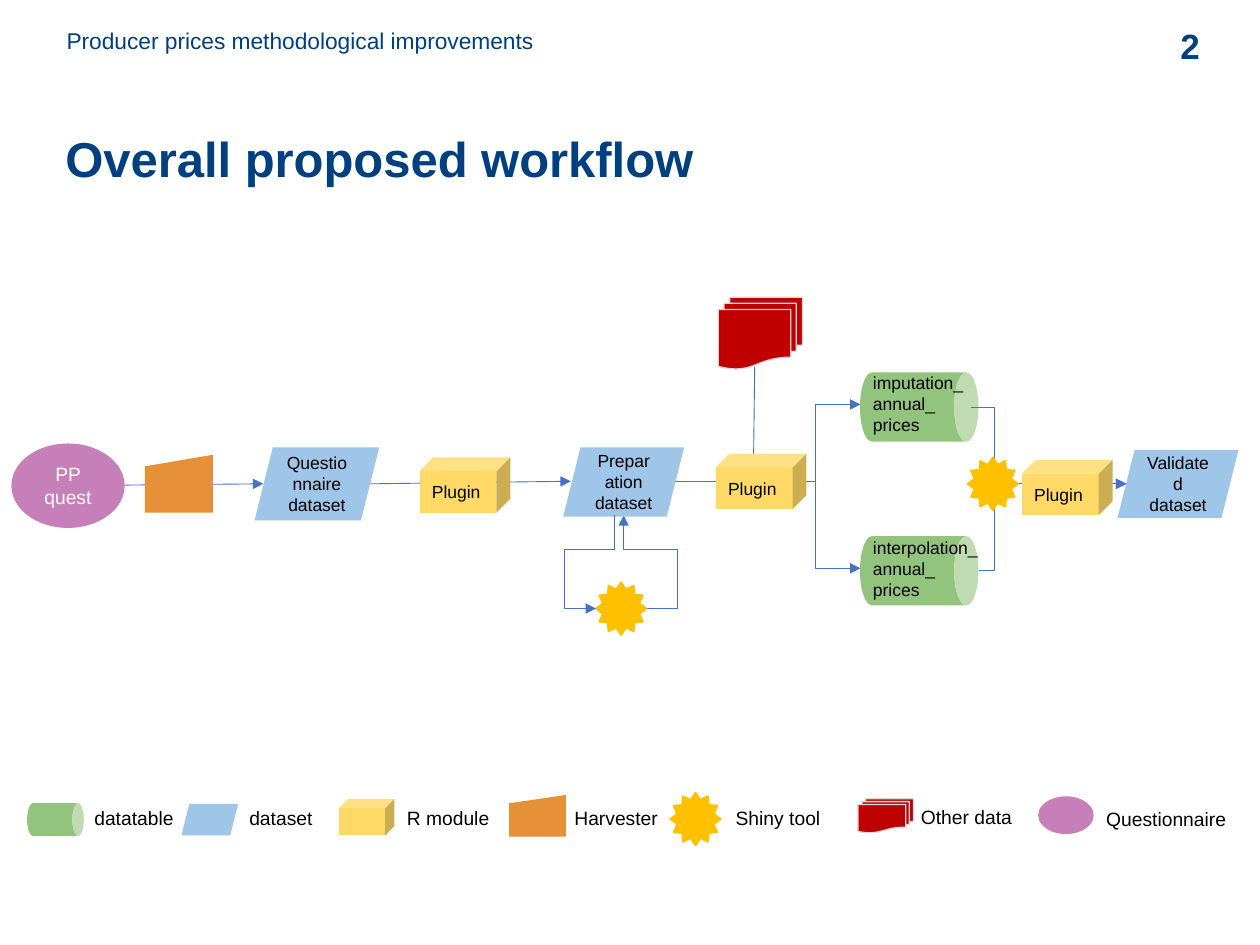
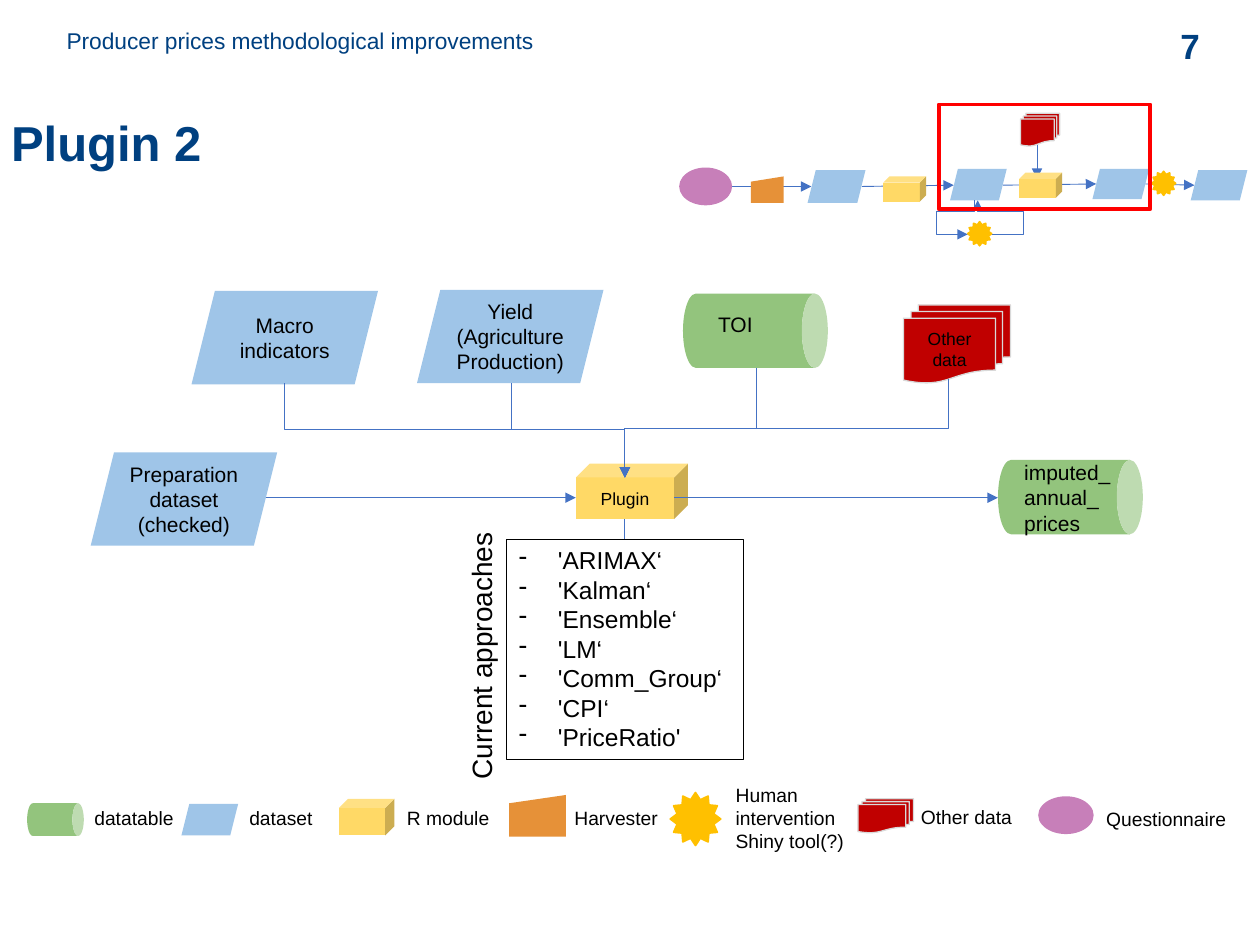
from lxml import etree
from pptx import Presentation
from pptx import util as u
from pptx.dml.color import RGBColor
from pptx.enum import shapes as s, text as t
from pptx.oxml.ns import qn

HUE = {"navy": "004080", "black": "000000", "white": "FFFFFF", "link": "4472C4",
       "green": "93C47D", "blue": "9FC5E8", "yellow": "FFD966", "orange": "E69138",
       "gold": "FFC000", "red": "C00000", "gray": "D9D9D9", "pink": "C77FB9",
       "alert": "FF0000"}
RGB = {name: RGBColor.from_string(code) for name, code in HUE.items()}
M = s.MSO_SHAPE
KIND = {
    "table": (M.CAN, "green", None, 0),
    "set": (M.PARALLELOGRAM, "blue", None, 0),
    "module": (M.CUBE, "yellow", None, 0),
    "harvest": (M.FLOWCHART_MANUAL_INPUT, "orange", None, 0),
    "tool": (M.STAR_12_POINT, "gold", "gold", 1),
    "other": (M.FLOWCHART_MULTIDOCUMENT, "red", "gray", 0.75),
    "quest": (M.OVAL, "pink", None, 0),
    "frame": (M.RECTANGLE, None, "alert", 2.25),
    "list": (M.RECTANGLE, None, "black", 0.75),
}
COLS, ROWS = 100, 75
CELL = u.Inches(0.1)


def put(page, kind, box, words="", size=10, hue="black", bold=False, align="LEFT",
        anchor="MIDDLE", pad=0.1, wrap=True, turn=0, dash=False, lead=None, gap=None):
    area = [round(n * CELL) for n in box]
    if kind == "text":
        item = page.shapes.add_textbox(*area)
    else:
        form, fill, edge, width = KIND[kind]
        item = page.shapes.add_shape(form, *area)
        item.shadow.inherit = False
        if fill:
            item.fill.solid()
            item.fill.fore_color.rgb = RGB[fill]
        else:
            item.fill.background()
        if edge:
            item.line.color.rgb = RGB[edge]
            item.line.width = u.Pt(width)
        else:
            item.line.fill.background()
        if kind == "table":
            item.adjustments[0] = 0.35
            turn = 90
    item.rotation = turn
    if not words:
        return item
    frame = item.text_frame
    frame.word_wrap = wrap
    frame.vertical_anchor = t.MSO_ANCHOR[anchor]
    frame.margin_left = frame.margin_right = u.Inches(0.1)
    frame.margin_top = frame.margin_bottom = u.Inches(pad)
    for row, line in enumerate(words.split("\n")):
        para = frame.paragraphs[0] if row == 0 else frame.add_paragraph()
        para.alignment = t.PP_ALIGN[align]
        if lead:
            para.line_spacing = lead
            para.space_before = u.Pt(gap)
        if dash:
            prop = para._p.get_or_add_pPr()
            prop.set("marL", str(u.Inches(0.31)))
            prop.set("indent", str(-u.Inches(0.31)))
            etree.SubElement(prop, qn("a:buChar")).set("char", "-")
        run = para.add_run()
        run.text = line
        run.font.name = "Arial"
        run.font.size = u.Pt(size)
        run.font.bold = bold
        run.font.color.rgb = RGB[hue]
    return item


def link(page, spots, head=True):
    (x, y), (far, low) = spots[0], spots[-1]
    wide, tall = far - x, low - y
    bent = len(spots) > 2
    down = bent and spots[1][0] == x
    ends = [x, y, far, low]
    if down:
        midx, midy = (x + far) / 2, (y + low) / 2
        ends = [midx - tall / 2, midy + wide / 2, midx + tall / 2, midy - wide / 2]
    form = s.MSO_CONNECTOR.ELBOW if bent else s.MSO_CONNECTOR.STRAIGHT
    line = page.shapes.add_connector(form, *[round(n * CELL) for n in ends])
    line.line.color.rgb = RGB["link"]
    line.line.width = u.Pt(0.5)
    prop = line.element.spPr
    if bent:
        geom = prop.find(qn("a:prstGeom"))
        geom.set("prst", f"bentConnector{len(spots) - 1}")
        guide = geom.find(qn("a:avLst"))
        if guide is None:
            guide = etree.SubElement(geom, qn("a:avLst"))
        for num, (px, py) in enumerate(spots[1:-2], 1):
            upright = down == (num == 1)
            share = (py - y) / tall if upright else (px - x) / wide
            mark = etree.SubElement(guide, qn("a:gd"))
            mark.set("name", f"adj{num}")
            mark.set("fmla", f"val {round(share * 100000)}")
        if down:
            prop.find(qn("a:xfrm")).set("rot", "5400000")
    if head:
        etree.SubElement(prop.find(qn("a:ln")), qn("a:tailEnd")).set("type", "triangle")
    etree.SubElement(prop, qn("a:effectLst"))
    return line


MID = {"align": "CENTER"}
BIG = {"align": "CENTER", "size": 12}
NOTE = {"anchor": "TOP", "pad": 0.05}
FREE = {**NOTE, "size": 12, "wrap": False}

FLOW = [
    ([[(53.6, 38.2), (64.7, 38.2), (64.7, 45.1), (68.3, 45.1)],
      [(53.6, 38.2), (64.7, 38.2), (64.7, 32.1), (68.3, 32.1)],
      [(29.4, 38.4), (45.3, 38.2)],
      [(9.9, 38.5), (20.9, 38.4)],
      [(59.9, 29.1), (59.8, 37.1)],
      [(51.3, 48.3), (53.8, 48.3), (53.8, 43.6), (49.5, 43.6), (49.5, 40.9)]],
     [("quest", (0.9, 35.2, 9, 6.7), "PP quest",
       {"align": "CENTER", "size": 11, "hue": "white", "pad": 0.05}),
      ("harvest", (11.5, 36.1, 5.4, 4.6), "", {}),
      ("set", (20.2, 35.5, 9.9, 5.8), "Questionnaire dataset", MID),
      ("other", (57, 23.6, 6.7, 5.7), "", {}),
      ("module", (33.3, 36.3, 7.2, 4.4), "Plugin", {}),
      ("set", (88.7, 35.7, 9.6, 5.4), "Validated dataset", MID),
      ("tool", (47.3, 46.2, 4, 4.2), "", {}),
      ("set", (44.7, 35.5, 9.6, 5.5), "Preparation dataset", MID),
      ("module", (56.8, 36, 7.2, 4.4), "Plugin", {}),
      ("table", (70.2, 27.6, 5.5, 9.4), "", {}),
      ("text", (68.3, 29, 11.2, 6.1), "imputation_\nannual_\nprices", NOTE),
      ("table", (70.2, 40.6, 5.5, 9.4), "", {}),
      ("text", (68.3, 42.1, 11.2, 6.1), "interpolation_\nannual_\nprices", NOTE)]),
    ([[(48.8, 40.9), (48.8, 43.6), (44.8, 43.6), (44.8, 48.3), (47.3, 48.3)],
      [(77.1, 32.3), (78.9, 32.3), (78.9, 38.4), (89.4, 38.4)],
      [(77.7, 45.3), (78.9, 45.3), (78.9, 38.4), (89.4, 38.4)]],
     [("tool", (76.8, 36.3, 4, 4.2), "", {}),
      ("module", (81.1, 36.5, 7.2, 4.4), "Plugin", {})]),
]

PLUGIN = [
    ([],
     [("other", (71.7, 24.2, 8.5, 6.2), "Other data", MID),
      ("module", (45.7, 36.8, 8.9, 4.4), "Plugin", MID),
      ("set", (7.2, 35.9, 14.8, 7.4), "Preparation dataset (checked)", BIG),
      ("set", (15.2, 23.1, 14.8, 7.4), "Macro indicators", BIG),
      ("set", (33.1, 23, 14.8, 7.4), "Yield (Agriculture Production)", BIG)]),
    ([[(x, top), (x, bar), (49.6, bar), (49.6, 37.9)] for x, top, bar in
      [(22.6, 30.4, 34.1), (40.6, 30.4, 34.1), (60, 29.2, 34), (75.3, 30.1, 34)]]
     + [[(21.1, 39.5), (45.7, 39.5)],
        [(53.5, 39.5), (79.2, 39.5)],
        [(79.6, 14.7), (87, 14.6)],
        [(68.4, 14.8), (75.7, 14.7)],
        [(58.1, 14.8), (64.4, 14.8)],
        [(90.9, 14.6), (94.8, 14.7)],
        [(82.3, 11.5), (82.3, 14.2)],
        [(78.7, 18.6), (81.2, 18.6), (81.2, 16.8), (77.6, 16.8), (77.6, 15.9)]],
     [("quest", (53.9, 13.3, 4.2, 3), "", {}),
      ("harvest", (59.6, 14, 2.6, 2.1), "", {}),
      ("set", (64.1, 13.5, 4.6, 2.6), "", {}),
      ("other", (81, 9, 3.1, 2.6), "", {}),
      ("set", (86.7, 13.4, 4.5, 2.4), "", {}),
      ("module", (70.1, 14, 3.4, 2), "", {}),
      ("set", (94.5, 13.5, 4.5, 2.4), "", {}),
      ("tool", (76.8, 17.6, 1.9, 1.9), "", {}),
      ("tool", (91.4, 13.6, 1.9, 1.9), "", {}),
      ("set", (75.4, 13.4, 4.5, 2.5), "", {}),
      ("module", (80.9, 13.7, 3.4, 2), "", {})]),
    ([[(77.3, 15.9), (77.3, 16.8), (74.3, 16.8), (74.3, 18.6), (76.8, 18.6)]],
     [("frame", (74.5, 8.3, 16.8, 8.3), "", {}),
      ("table", (57, 20.5, 5.9, 11.5), "", {}),
      ("text", (56, 24.2, 4.8, 3), "TOI", FREE),
      ("table", (82, 33.7, 5.9, 11.5), "", {}),
      ("text", (80.3, 36, 8.9, 7.1), "imputed_\nannual_\nprices", FREE),
      ("text", (27.2, 50, 22, 3.7), "Current approaches",
       {**NOTE, "size": 16, "turn": 270})]),
]

LEGEND = [
    ("table", (3.1, 62.8, 2.6, 4.5), "datatable", (6.5, 63.6, 8.8, 2.7)),
    ("set", (14.4, 63.8, 4.5, 2.5), "dataset", (18.8, 63.6, 8.5, 2.7)),
    ("module", (26.9, 63.4, 4.4, 2.9), "R module", (31.3, 63.6, 8.8, 2.7)),
    ("harvest", (40.4, 63.1, 4.5, 3.3), "Harvester", (44.6, 63.6, 10.1, 2.7)),
    ("tool", (53.2, 62.9, 4, 4.2), None, (57.4, 63.5, 10.9, 2.8)),
    ("other", (68.1, 63.4, 4.4, 2.7), "Other data", (72.1, 63.5, 10.1, 2.7)),
    ("quest", (82.4, 63.2, 4.4, 3), "Questionnaire", (86.8, 62.9, 13.2, 4.1)),
]

deck = Presentation()
deck.slide_width, deck.slide_height = COLS * CELL, ROWS * CELL
pages = []
for num, title, spot, human, layers in [
    ("2", "Overall proposed workflow", (4.2, 10.2), "Shiny tool", FLOW),
    ("7", "Plugin 2", (-0.1, 9), "Human intervention Shiny tool(?)", PLUGIN),
]:
    page = deck.slides.add_slide(deck.slide_layouts[6])
    pages.append(page)
    put(page, "text", (4.3, 1.6, 84.6, 3.2), "Producer prices methodological improvements",
        size=13, hue="navy", **NOTE)
    put(page, "text", (73.7, 1.6, 22.5, 4), num, size=20, hue="navy", bold=True,
        align="RIGHT", pad=0.05)
    put(page, "text", (*spot, 91.6, 5), title, size=28, hue="navy", bold=True,
        lead=0.9, gap=10, **NOTE)
    for links, nodes in layers:
        for spots in links:
            link(page, spots)
        for kind, box, words, style in nodes:
            put(page, kind, box, words, **style)
    for kind, box, words, label in LEGEND:
        put(page, kind, box)
        put(page, "text", label, words or human, size=11)

ways = "'ARIMAX‘\n'Kalman‘\n'Ensemble‘\n'LM‘\n'Comm_Group‘\n'CPI‘\n'PriceRatio'"
panel = put(pages[1], "list", (40.2, 42.8, 18.8, 17.5), ways, size=14, dash=True, **NOTE)
stem = link(pages[1], [(49.6, 41.2), (49.6, 42.8)], head=False)
stem.end_connect(panel, 0)

deck.save("out.pptx")
